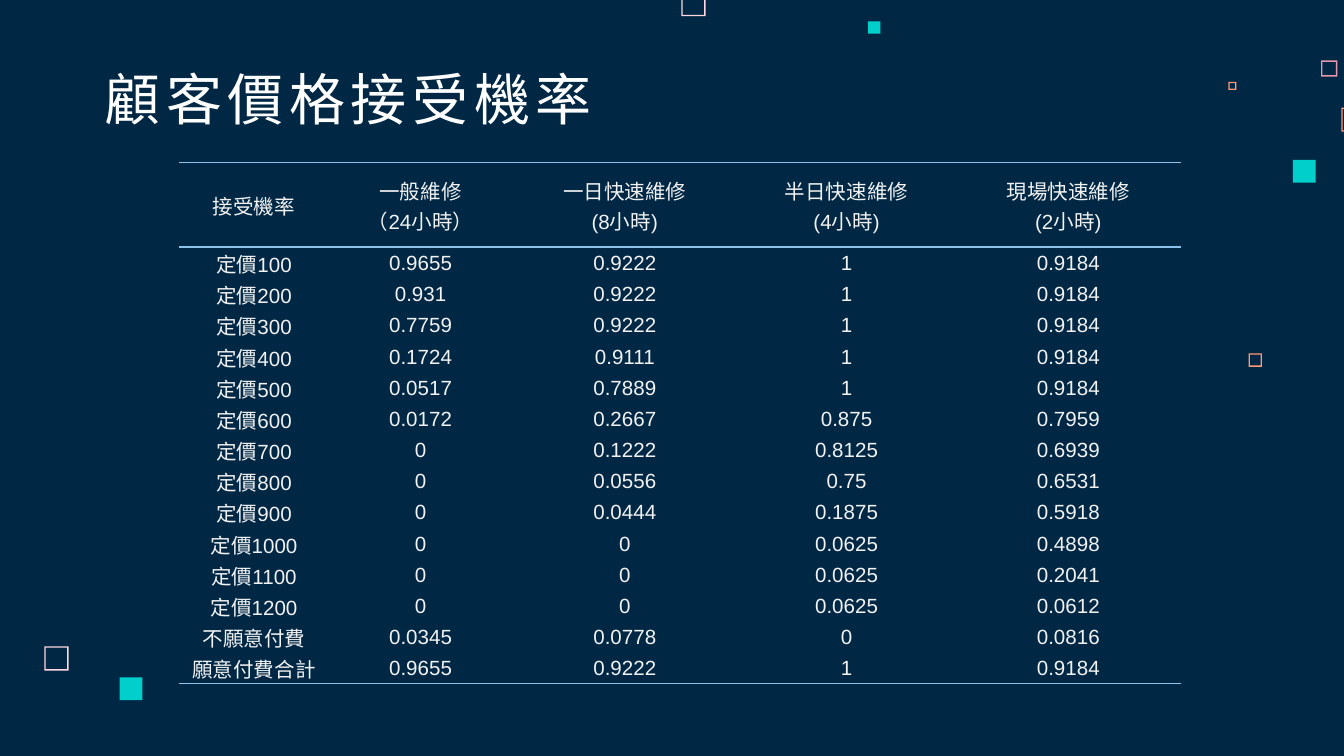
from lxml import etree
from pptx import Presentation
from pptx.dml.color import RGBColor
from pptx.enum.shapes import MSO_SHAPE
from pptx.enum.text import MSO_ANCHOR, MSO_AUTO_SIZE, PP_ALIGN
from pptx.oxml.ns import qn
from pptx.util import Inches, Pt

FRAME, SQUARE = MSO_SHAPE.FRAME, MSO_SHAPE.RECTANGLE
MIDDLE, BOTTOM = MSO_ANCHOR.MIDDLE, MSO_ANCHOR.BOTTOM
CENTER, LEFT = PP_ALIGN.CENTER, PP_ALIGN.LEFT
NO_AUTOFIT = MSO_AUTO_SIZE.NONE

NAVY = RGBColor(0x00, 0x28, 0x45)
WHITE = RGBColor(0xFF, 0xFF, 0xFF)
PALE = RGBColor(0xF2, 0xF2, 0xF2)
PINK = RGBColor(0xFF, 0xD6, 0xE1)
ROSE = RGBColor(0xE8, 0x98, 0xAC)
ORANGE = RGBColor(0xFF, 0x99, 0x73)
TEAL = RGBColor(0x00, 0xCF, 0xCC)
SKY = RGBColor(0x8C, 0xC2, 0xEA)

LATIN_FONT, CJK_FONT = "Arial", "Noto Sans CJK SC"
PLAIN_TABLE_STYLE = "{2D5ABB26-0587-4C30-8999-92F81FD0307C}"
TITLE_ONLY = 5

# kind, left, top, side, colour
DECORATIONS = [
    (FRAME, 5.07, -0.06, 0.18, PINK),
    (FRAME, 9.83, 0.45, 0.12, ROSE),
    (FRAME, 9.14, 0.61, 0.06, ORANGE),
    (FRAME, 9.98, 0.8, 0.18, ORANGE),
    (SQUARE, 9.62, 1.19, 0.17, TEAL),
    (FRAME, 9.29, 2.63, 0.1, ORANGE),
    (SQUARE, 6.46, 0.16, 0.09, TEAL),
    (FRAME, 0.33, 4.81, 0.18, PINK),
    (SQUARE, 0.89, 5.04, 0.17, TEAL),
]
FRAME_THICKNESS = 0.01

HEADERS = ["接受機率", "一般維修\v（24小時）", "一日快速維修\v(8小時)",
           "半日快速維修\v(4小時)", "現場快速維修\v(2小時)"]
# One list per service, from price 100 up to 1200, then unwilling and willing
PROBABILITIES = [
    "0.9655 0.931 0.7759 0.1724 0.0517 0.0172 0 0 0 0 0 0 0.0345 0.9655",
    "0.9222 0.9222 0.9222 0.9111 0.7889 0.2667 0.1222 0.0556 0.0444 0 0 0 0.0778 0.9222",
    "1 1 1 1 1 0.875 0.8125 0.75 0.1875 0.0625 0.0625 0.0625 0 1",
    "0.9184 0.9184 0.9184 0.9184 0.9184 0.7959 0.6939 0.6531 0.5918 0.4898 "
    "0.2041 0.0612 0.0816 0.9184",
]
COLUMN_WIDTHS = [1.12, 1.36, 1.68, 1.62, 1.68]
HEADER_HEIGHT, ROW_HEIGHT = 0.63, 0.22


def set_attributes(target, values):
    for name, value in values.items():
        setattr(target, name, value)


def format_span(span, size, color, latin):
    set_attributes(span.font, {"size": Pt(size), "name": latin, "bold": False})
    span.font.color.rgb = color
    east_asian = etree.SubElement(span.font._element, qn("a:ea"))
    east_asian.set("typeface", CJK_FONT)


def add_decorations(page):
    for kind, left, top, side, color in DECORATIONS:
        box = page.shapes.add_shape(kind, Inches(left), Inches(top), Inches(side), Inches(side))
        if kind == FRAME:
            box.adjustments[0] = FRAME_THICKNESS / side
        box.shadow.inherit = False
        box.fill.solid()
        box.fill.fore_color.rgb = color
        box.line.fill.background()


def add_title(page, left, top, width, height):
    title = page.shapes.title
    set_attributes(title, {"left": Inches(left), "top": Inches(top),
                           "width": Inches(width), "height": Inches(height)})
    frame = title.text_frame
    set_attributes(frame, {"word_wrap": True, "auto_size": NO_AUTOFIT, "vertical_anchor": BOTTOM})
    set_attributes(frame, {f"margin_{side}": Inches(0.1)
                           for side in ("left", "top", "right", "bottom")})
    para = frame.paragraphs[0]
    para.alignment = LEFT
    span = para.add_run()
    span.text = "顧客價格接受機率"
    format_span(span, 30, WHITE, CJK_FONT)
    span.font._element.set("spc", "300")


def set_borders(cell, ruled):
    """Rule the named sides and clear the others, ahead of the cell's fill."""
    properties = cell._tc.get_or_add_tcPr()
    for position, tag in enumerate(("a:lnL", "a:lnR", "a:lnT", "a:lnB")):
        line = etree.Element(qn(tag), w=str(Pt(1)))
        if tag in ruled:
            fill = etree.SubElement(line, qn("a:solidFill"))
            etree.SubElement(fill, qn("a:srgbClr"), val=str(SKY))
        else:
            etree.SubElement(line, qn("a:noFill"))
        properties.insert(position, line)


def fill_cell(cell, text):
    set_attributes(cell, {"margin_left": Inches(0.01), "margin_right": Inches(0.01),
                          "margin_top": Inches(0.01), "margin_bottom": 0,
                          "vertical_anchor": MIDDLE})
    cell.fill.background()
    para = cell.text_frame.paragraphs[0]
    para.text = text
    para.alignment = CENTER
    for span in para.runs:
        format_span(span, 11, PALE, LATIN_FONT)


def add_probability_table(page, left, top):
    labels = [f"定價{price}" for price in range(100, 1300, 100)] + ["不願意付費", "願意付費合計"]
    columns = [column.split() for column in PROBABILITIES]
    rows = [HEADERS, *zip(labels, *columns)]
    height = HEADER_HEIGHT + ROW_HEIGHT * len(labels)
    holder = page.shapes.add_table(len(rows), len(HEADERS), Inches(left), Inches(top),
                                   Inches(sum(COLUMN_WIDTHS)), Inches(height))
    table = holder.table
    set_attributes(table, {"first_row": False, "horz_banding": False})
    table._tbl.tblPr.find(qn("a:tableStyleId")).text = PLAIN_TABLE_STYLE
    # Rules above and below the header, and under the last row
    rules = {0: ("a:lnT", "a:lnB"), 1: ("a:lnT",), len(labels): ("a:lnB",)}

    for column, width in zip(table.columns, COLUMN_WIDTHS):
        column.width = Inches(width)
    for index, texts in enumerate(rows):
        table.rows[index].height = Inches(ROW_HEIGHT if index else HEADER_HEIGHT)
        for column, text in enumerate(texts):
            cell = table.cell(index, column)
            fill_cell(cell, text)
            set_borders(cell, rules.get(index, ()))


def main():
    deck = Presentation()
    # Widescreen page, 16 by 9
    set_attributes(deck, {"slide_width": Inches(10), "slide_height": Inches(10 * 9 / 16)})
    page = deck.slides.add_slide(deck.slide_layouts[TITLE_ONLY])
    page.background.fill.solid()
    page.background.fill.fore_color.rgb = NAVY
    add_decorations(page)
    add_title(page, 0.68, 0.45, 6.44, 0.63)
    add_probability_table(page, 1.33, 1.21)
    deck.save("out.pptx")


if __name__ == "__main__":
    main()
